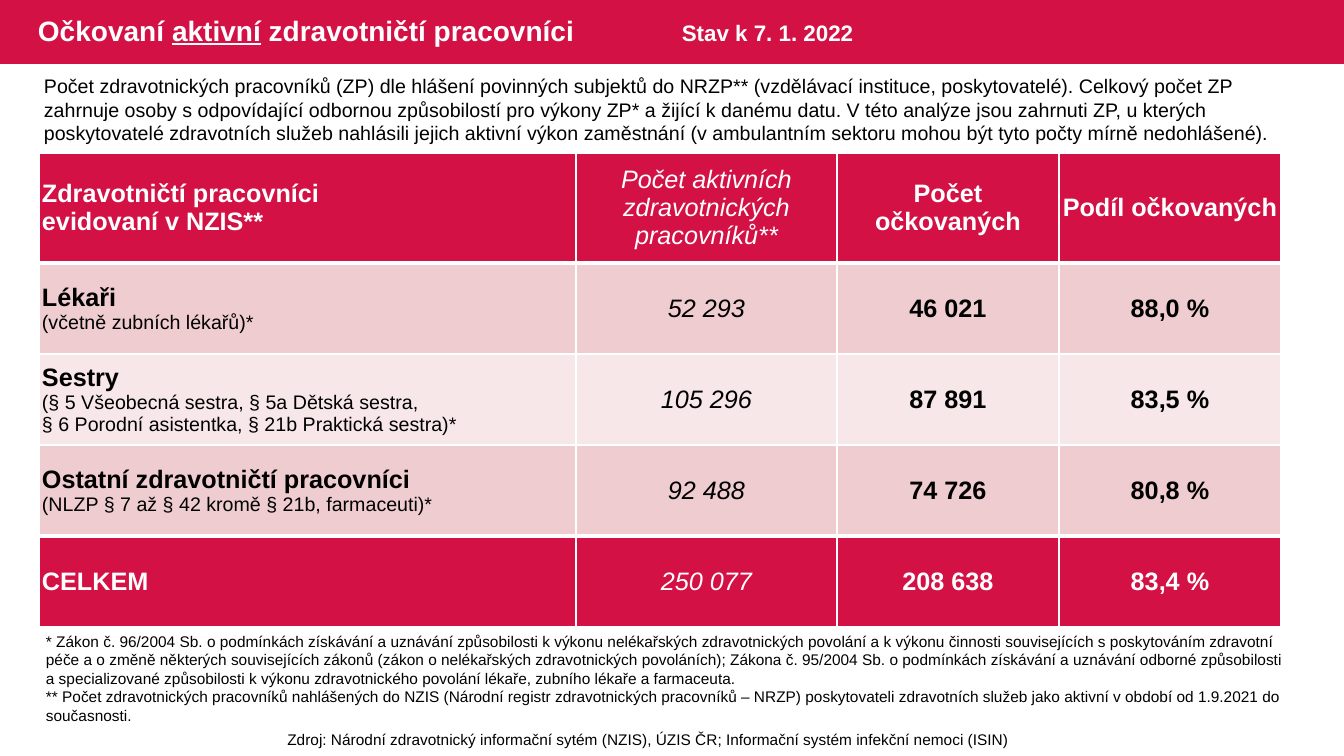
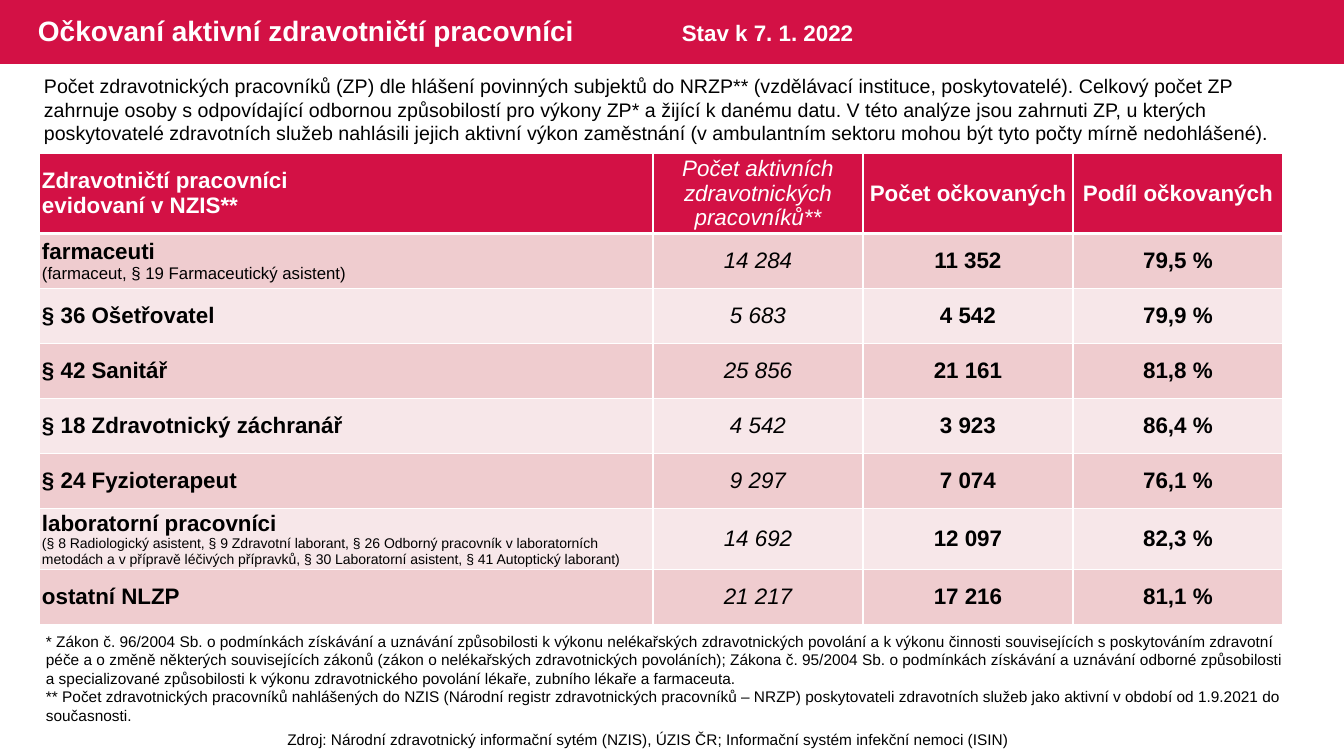
from lxml.etree import SubElement
from pptx import Presentation
from pptx.dml.color import RGBColor
from pptx.enum.shapes import MSO_SHAPE as Shape
from pptx.enum.text import MSO_ANCHOR as Anchor, PP_ALIGN as Align
from pptx.oxml.ns import qn
from pptx.util import Emu, Pt

PX = 12192000 / 1344
CRIMSON = RGBColor(0xD3, 0x11, 0x45)
ROSE = RGBColor(0xEF, 0xCC, 0xCF)
PALE = RGBColor(0xF7, 0xE7, 0xE9)
WHITE = RGBColor(0xFF, 0xFF, 0xFF)
BLACK = RGBColor(0, 0, 0)
FONT = "Arial"
THIN, THICK = 1, 3

DATE = "Stav k 7. 1. 2022"
INTRO = (
    "Počet zdravotnických pracovníků (ZP) dle hlášení povinných subjektů do NRZP** "
    "(vzdělávací instituce, poskytovatelé). Celkový počet ZP zahrnuje osoby s odpovídající "
    "odbornou způsobilostí pro výkony ZP* a žijící k danému datu. V této analýze jsou zahrnuti "
    "ZP, u kterých poskytovatelé zdravotních služeb nahlásili jejich aktivní výkon zaměstnání "
    "(v ambulantním sektoru mohou být tyto počty mírně nedohlášené)."
)
NOTES = [
    "* Zákon č. 96/2004 Sb. o podmínkách získávání a uznávání způsobilosti k výkonu "
    "nelékařských zdravotnických povolání a k výkonu činnosti souvisejících s poskytováním "
    "zdravotní péče a o změně některých souvisejících zákonů (zákon o nelékařských "
    "zdravotnických povoláních); Zákona č. 95/2004 Sb. o podmínkách získávání a uznávání "
    "odborné způsobilosti a specializované způsobilosti k výkonu zdravotnického povolání "
    "lékaře, zubního lékaře a farmaceuta.",
    "** Počet zdravotnických pracovníků nahlášených do NZIS (Národní registr zdravotnických "
    "pracovníků – NRZP) poskytovateli zdravotních služeb jako aktivní v období od 1.9.2021 "
    "do současnosti.",
]
SOURCE = ("Zdroj: Národní zdravotnický informační sytém (NZIS), ÚZIS ČR; "
          "Informační systém infekční nemoci (ISIN)")
HEADER = (["Zdravotničtí pracovníci", "evidovaní v NZIS**"],
          "Počet aktivních zdravotnických pracovníků**", "Počet očkovaných", "Podíl očkovaných")

GROUPS = [
    (["Lékaři", "(včetně zubních lékařů)*"], "52 293", "46 021", "88,0 %"),
    (["Sestry", "(§ 5 Všeobecná sestra, § 5a Dětská sestra,",
      "§ 6 Porodní asistentka, § 21b Praktická sestra)*"], "105 296", "87 891", "83,5 %"),
    (["Ostatní zdravotničtí pracovníci", "(NLZP § 7 až § 42 kromě § 21b, farmaceuti)*"],
     "92 488", "74 726", "80,8 %"),
    (["CELKEM"], "250 077", "208 638", "83,4 %"),
]
PROFESSIONS = [
    (["farmaceuti", "(farmaceut, § 19 Farmaceutický asistent)"], "14 284", "11 352", "79,5 %"),
    (["§ 36 Ošetřovatel"], "5 683", "4 542", "79,9 %"),
    (["§ 42 Sanitář"], "25 856", "21 161", "81,8 %"),
    (["§ 18 Zdravotnický záchranář"], "4 542", "3 923", "86,4 %"),
    (["§ 24 Fyzioterapeut"], "9 297", "7 074", "76,1 %"),
    (["laboratorní pracovníci",
      "(§ 8 Radiologický asistent, § 9 Zdravotní laborant, § 26 Odborný pracovník v "
      "laboratorních metodách a v přípravě léčivých přípravků, § 30 Laboratorní asistent, "
      "§ 41 Autoptický laborant)"], "14 692", "12 097", "82,3 %"),
    (["ostatní NLZP"], "21 217", "17 216", "81,1 %"),
]


def px(*lengths):
    """Turn pixel lengths into a list of EMU lengths."""
    return [Emu(round(length * PX)) for length in lengths]


def add_span(para, text, size, color=BLACK, bold=False, italic=False, underline=None):
    """Append one formatted run to a paragraph."""
    span = para.add_run()
    span.text = text
    font = span.font
    font.name, font.size, font.color.rgb = FONT, Pt(size), color
    font.bold, font.italic, font.underline = bold, italic, underline


def add_para(frame, text, align=Align.LEFT, **style):
    """Write a paragraph into a frame, using its first one while it is empty."""
    para = frame.paragraphs[0]
    if para.runs:
        para = frame.add_paragraph()
    para.alignment = align
    add_span(para, text, **style)


def add_box(page, area, paras=(), anchor=Anchor.TOP, **style):
    """Add a wrapping text box and return its frame."""
    frame = page.shapes.add_textbox(*px(*area)).text_frame
    frame.word_wrap = True
    frame.vertical_anchor = anchor
    for text in paras:
        add_para(frame, text, **style)
    return frame


def add_page(deck, title):
    """Add a page with the band, title, date, introduction, notes and source."""
    page = deck.slides.add_slide(deck.slide_layouts[6])
    band = page.shapes.add_shape(Shape.RECTANGLE, *px(0, 0, 1344, 64))
    band.shadow.inherit = False
    band.fill.solid()
    band.fill.fore_color.rgb = CRIMSON
    band.line.fill.background()

    para = add_box(page, (28, 0, 820, 64), anchor=Anchor.MIDDLE).paragraphs[0]
    para.line_spacing = 0.9
    for text, underline in title:
        add_span(para, text, 20, WHITE, bold=True, underline=underline)
    add_box(page, (672, 14, 222, 37), [DATE], size=16, color=WHITE, bold=True)
    add_box(page, (34, 69, 1274, 82), [INTRO], size=14)
    add_box(page, (36, 627, 1263, 104), NOTES, size=11)
    add_box(page, (192, 725, 913, 29), [SOURCE], size=11, align=Align.CENTER)
    return page


def set_borders(cell, top, bottom):
    """Draw white borders, with the given widths above and below."""
    props = cell._tc.get_or_add_tcPr()
    for side, width in (("L", THIN), ("R", THIN), ("T", top), ("B", bottom)):
        line = SubElement(props, qn(f"a:ln{side}"), w=str(Pt(width)))
        fill = SubElement(line, qn("a:solidFill"))
        SubElement(fill, qn("a:srgbClr"), val=str(WHITE))


def format_cell(cell, color, inset, top, bottom):
    """Set the borders, fill, margins and anchor of a cell."""
    set_borders(cell, top, bottom)
    cell.fill.solid()
    cell.fill.fore_color.rgb = color
    cell.margin_left, cell.margin_right = px(inset, inset)
    cell.margin_top = cell.margin_bottom = 0
    cell.vertical_anchor = Anchor.MIDDLE


def add_staff_table(page, rows, widths, heights, size, detail_sizes, has_total=False):
    """Add the vaccination table; detail_sizes maps a row to the size of its small print."""
    rows = [HEADER, *rows]
    area = px(39, 153, sum(widths), sum(heights))
    table = page.shapes.add_table(len(rows), len(widths), *area).table
    table.horz_banding = False
    for column, width in zip(table.columns, px(*widths)):
        column.width = width
    for row, height in zip(table.rows, px(*heights)):
        row.height = height

    last = len(rows) - 1
    strong = {0, last} if has_total else {0}
    thick_edges = {1, last} if has_total else {1}
    for r, (label, *values) in enumerate(rows):
        fill = CRIMSON if r in strong else ROSE if r % 2 else PALE
        color = WHITE if r in strong else BLACK
        top, bottom = (THICK if edge in thick_edges else THIN for edge in (r, r + 1))
        for c in range(len(widths)):
            format_cell(table.cell(r, c), fill, 1 if r and c else 3, top, bottom)
        for i, text in enumerate(label):
            small = i > 0 and r in detail_sizes
            add_para(table.cell(r, 0).text_frame, text, color=color, bold=not small,
                     size=detail_sizes[r] if small else size)
        for c, text in enumerate(values, 1):
            add_para(table.cell(r, c).text_frame, text, align=Align.CENTER, size=size,
                     color=color, bold=c > 1, italic=c == 1)


def main():
    """Build both pages and save the deck."""
    deck = Presentation()
    deck.slide_width, deck.slide_height = px(1344, 756)

    page = add_page(deck, [("Očkovaní ", None), ("aktivní", True),
                           (" zdravotničtí pracovníci", None)])
    add_staff_table(page, GROUPS, [537, 261, 222, 222], [110] + [91] * 4, 18,
                    {1: 14, 2: 14, 3: 14}, has_total=True)

    page = add_page(deck, [("Očkovaní aktivní zdravotničtí pracovníci", None)])
    add_staff_table(page, PROFESSIONS, [614] + [210] * 3, [80] + [55] * 5 + [61, 55], 16,
                    {1: 12, 6: 10})

    deck.save("out.pptx")


if __name__ == "__main__":
    main()
